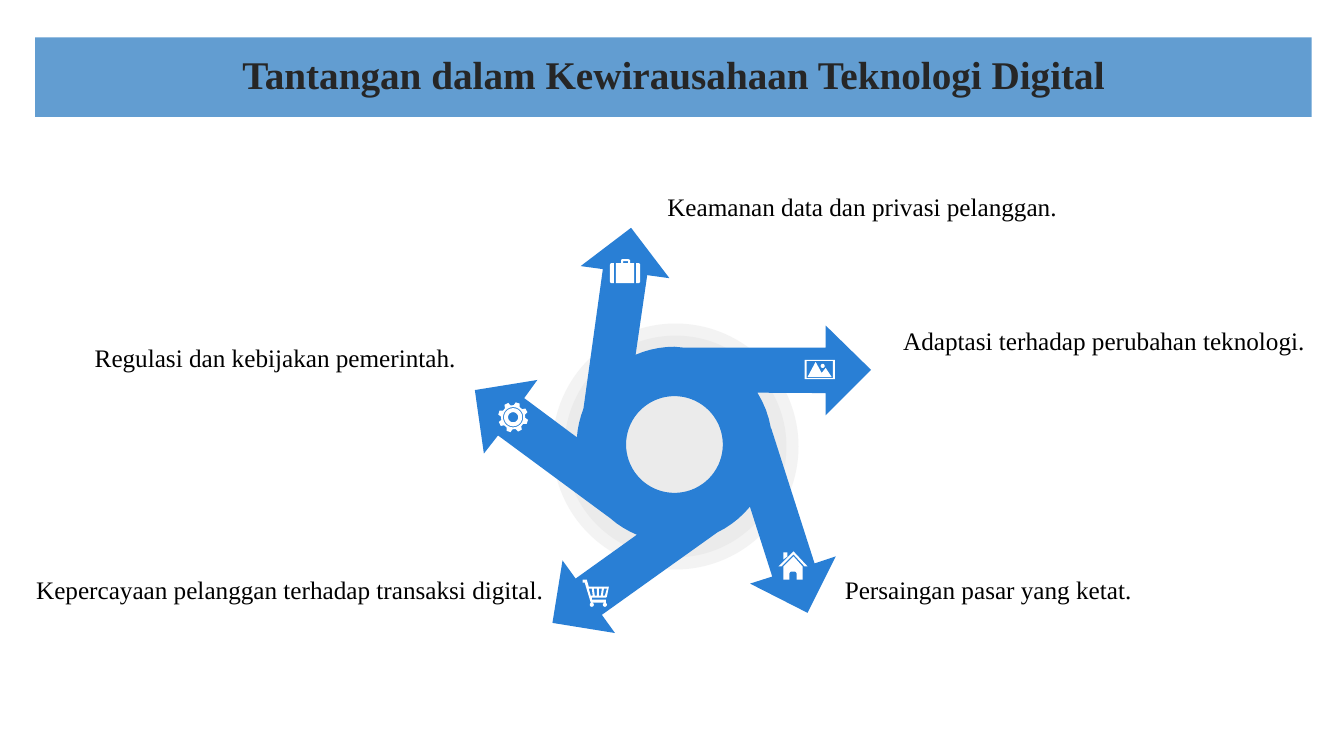
import math
import pptx
import pptx.util
import pptx.dml.color
import pptx.enum.shapes
import pptx.enum.text
import pptx.oxml
import pptx.oxml.ns

Inches = pptx.util.Inches
RGB = pptx.dml.color.RGBColor.from_string
KIND = pptx.enum.shapes.MSO_SHAPE
ALIGN = pptx.enum.text.PP_ALIGN
HUES = {"bar": "629DD1", "title": "262626", "text": "000000",
        "halo": "D9D9D9", "wheel": "297FD5", "icon": "FFFFFF"}

deck = pptx.Presentation()
deck.slide_width, deck.slide_height = Inches(13.33), Inches(7.5)
slide = deck.slides.add_slide(deck.slide_layouts[6])
shapes = slide.shapes


def write(shape, text, size=18, hue="text", bold=False, align=ALIGN.LEFT):
    frame = shape.text_frame
    frame.word_wrap = True
    frame.vertical_anchor = pptx.enum.text.MSO_ANCHOR.MIDDLE
    para = frame.paragraphs[0]
    para.alignment = align
    run = para.add_run()
    run.text = text
    run.font.name = "Times New Roman"
    run.font.size = pptx.util.Pt(size)
    run.font.bold = bold
    run.font.color.rgb = RGB(HUES[hue])
    return para


def draw(loops, hue):
    """Fill closed loops of (x, y) points and (x, y, radius, start, end) arcs."""
    build = None
    for loop in loops:
        dots = []
        for item in loop:
            if len(item) == 2:
                dots.append(item)
                continue
            x, y, rad, start, end = item
            steps = max(4, round(abs(end - start) / 5))
            for i in range(steps + 1):
                turn = math.radians(start + (end - start) * i / steps)
                dots.append((x + rad * math.cos(turn), y + rad * math.sin(turn)))
        dots = [(Inches(x), Inches(y)) for x, y in dots]
        if build is None:
            build = shapes.build_freeform(*dots[0], scale=1.0)
        else:
            build.move_to(*dots[0])
        build.add_line_segments(dots[1:], close=True)
    shape = build.convert_to_shape()
    shape.shadow.inherit = False
    shape.fill.solid()
    shape.fill.fore_color.rgb = RGB(HUES[hue])
    shape.line.fill.background()


# Title bar
bar = shapes.add_shape(KIND.RECTANGLE, Inches(0.35), Inches(0.37), Inches(12.66), Inches(0.79))
bar.shadow.inherit = False
bar.fill.solid()
bar.fill.fore_color.rgb = RGB(HUES["bar"])
bar.line.fill.background()
para = write(bar, "Tantangan dalam Kewirausahaan Teknologi Digital",
             size=28, hue="title", bold=True, align=ALIGN.CENTER)
para.line_spacing = 0.9
para.space_before = pptx.util.Pt(10)

# Pale halos behind the wheel
CX, CY = 6.69, 4.41
for rad in (1.22, 1.1):
    halo = shapes.add_shape(KIND.OVAL, Inches(CX + 0.01 - rad), Inches(CY + 0.02 - rad),
                            Inches(2 * rad), Inches(2 * rad))
    halo.shadow.inherit = False
    halo.fill.solid()
    halo.fill.fore_color.rgb = RGB(HUES["halo"])
    halo.line.fill.background()
    tint = halo.fill._xPr.find(".//" + pptx.oxml.ns.qn("a:srgbClr"))
    tint.append(pptx.oxml.parse_xml(
        '<a:alpha xmlns:a="http://schemas.openxmlformats.org/drawingml/2006/main" val="30000"/>'))

# Wheel of five arrows around a round hole
RIM = 0.97
wheel = [
    (6.26, 2.26), (6.64, 2.76), (6.42, 2.73), (CX, CY, RIM, 246.6, 270),
    (6.79, 3.45), (8.19, 3.45), (8.19, 3.23), (8.64, 3.67), (8.19, 4.12), (8.19, 3.9),
    (CX, CY, RIM, -32, -9.6),
    (7.65, 4.25), (8.08, 5.59), (8.29, 5.52), (8.01, 6.08), (7.44, 5.79), (7.66, 5.72),
    (CX, CY, RIM, 39.5, 64),
    (5.97, 6.1), (6.1, 6.28), (5.48, 6.18), (5.58, 5.56), (5.71, 5.74),
    (CX, CY, RIM, 112.6, 131.2),
    (4.94, 4.32), (4.8, 4.5), (4.71, 3.87), (5.33, 3.77), (5.2, 3.95),
    (CX, CY, RIM, 184.2, 201.5),
    (5.98, 2.67), (5.76, 2.64)]
draw([wheel, [(CX, CY, 0.48, 0, 360)]], "wheel")

# Labels
for left, top, wide, align, text in (
        (0.26, 5.65, 5.29, ALIGN.LEFT, "Kepercayaan pelanggan terhadap transaksi digital."),
        (0.59, 3.35, 4.03, ALIGN.RIGHT, "Regulasi dan kebijakan pemerintah."),
        (6.52, 1.85, 5.46, ALIGN.LEFT, "Keamanan data dan privasi pelanggan."),
        (8.86, 3.18, 4.24, ALIGN.LEFT, "Adaptasi terhadap perubahan teknologi."),
        (8.28, 5.65, 3.61, ALIGN.LEFT, "Persaingan pasar yang ketat.")):
    box = shapes.add_textbox(Inches(left), Inches(top), Inches(wide), Inches(0.4))
    write(box, text, align=align)
    box.text_frame.auto_size = pptx.enum.text.MSO_AUTO_SIZE.SHAPE_TO_FIT_TEXT

# Cart
cart = [[(5.78, 5.75), (5.82, 5.75), (5.84, 5.82), (6.04, 5.82), (6.02, 5.92), (6.01, 5.93),
         (5.87, 5.93), (5.87, 5.95), (6.01, 5.95), (6.01, 5.98), (5.86, 5.98),
         (5.8, 5.78), (5.78, 5.78)]]
for a, b, c, d in ((5.84, 5.87, 5.88, 5.86), (5.89, 5.92, 5.92, 5.9),
                   (5.94, 5.97, 5.96, 5.94), (5.99, 6.02, 6, 5.98)):
    cart.append([(a, 5.84), (b, 5.84), (c, 5.91), (d, 5.91)])
for x in (5.87, 6):
    cart.append([(x, 6, 0.02, 0, 360)])
draw(cart, "icon")

# House
draw([
    [(7.87, 5.52), (7.96, 5.62), (7.96, 5.75), (7.9, 5.75), (7.88, 5.69, 0.02, 0, -90),
     (7.85, 5.69, 0.02, -90, -180), (7.83, 5.75), (7.77, 5.75), (7.77, 5.62)],
    [(7.77, 5.48), (7.81, 5.48), (7.81, 5.52), (7.77, 5.55)],
    [(7.87, 5.47), (8.01, 5.62), (7.98, 5.62), (7.87, 5.5), (7.75, 5.62), (7.72, 5.62)],
], "icon")

# Framed hills
hills = [[(8.09, 3.59), (8.15, 3.7), (8.19, 3.65), (8.25, 3.74), (8.01, 3.74)],
         [(8.16, 3.63, 0.02, 0, 360)]]
for l, t, r, b in ((8, 3.58, 8.26, 3.75), (7.98, 3.57, 8.28, 3.76)):
    hills.append([(l, t), (r, t), (r, b), (l, b)])
draw(hills, "icon")

# Suitcase
draw([
    [(6.31, 2.61), (6.33, 2.63, 0.02, -90, 0), (6.33, 2.79, 0.02, 0, 90), (6.31, 2.81)],
    [(6.09, 2.61), (6.09, 2.81), (6.07, 2.79, 0.02, 90, 180), (6.07, 2.63, 0.02, 180, 270)],
    [(6.16, 2.58), (6.17, 2.57), (6.23, 2.57), (6.25, 2.58), (6.25, 2.61), (6.29, 2.61),
     (6.29, 2.81), (6.11, 2.81), (6.11, 2.61), (6.16, 2.61)],
    [(6.18, 2.59), (6.23, 2.59), (6.23, 2.61), (6.18, 2.61)],
], "icon")

# Gear with eight teeth
GX, GY = 5.09, 4.14
teeth = []
for i in range(8):
    for rad, off in ((0.12, -15), (0.15, -8), (0.15, 8), (0.12, 15)):
        turn = math.radians(45 * i - 72 + off)
        teeth.append((GX + rad * math.cos(turn), GY + rad * math.sin(turn)))
draw([teeth] + [[(GX, GY, rad, 0, 360)] for rad in (0.1, 0.09, 0.05)], "icon")

deck.save("out.pptx")
